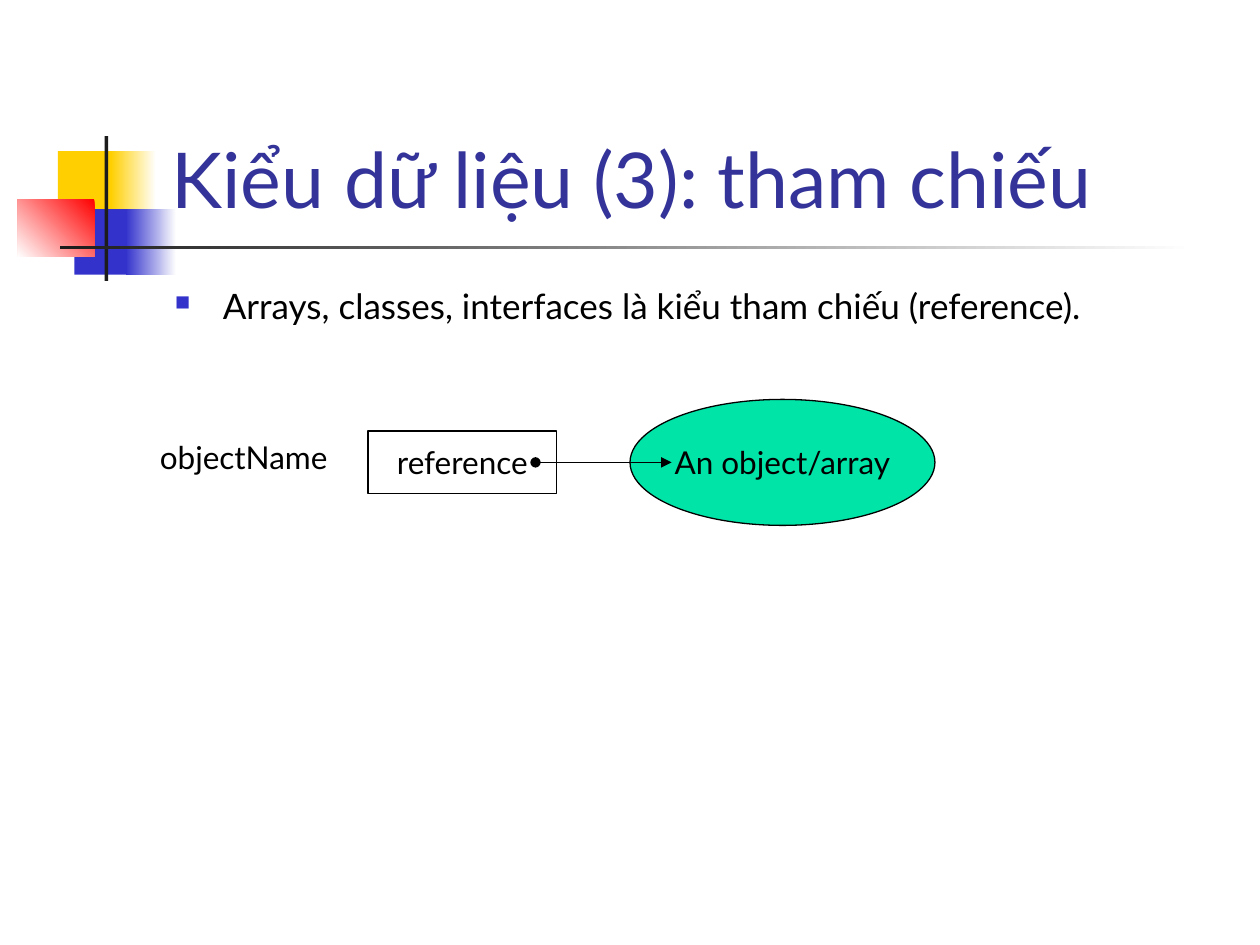
from lxml.etree import SubElement
from pptx import Presentation
from pptx.dml.color import RGBColor
from pptx.enum.shapes import MSO_CONNECTOR, MSO_SHAPE
from pptx.enum.text import MSO_ANCHOR, MSO_AUTO_SIZE, PP_ALIGN
from pptx.oxml.ns import qn
from pptx.util import Inches, Pt

FONT = "Lato"
COLORS = {
    "title": "333399", "black": "000000", "white": "FFFFFF", "yellow": "FFCF01",
    "blue": "3333CC", "red": "FF0000", "dark": "1C1C1C", "green": "00E4A8",
}


def rgb(name):
    return RGBColor.from_string(COLORS[name])


def add_run(p, text, size, color="black"):
    r = p.add_run()
    r.text = text
    r.font.name = FONT
    r.font.size = Pt(size)
    r.font.color.rgb = rgb(color)


def add_shape(slide, kind, box, fill=None, outlined=False):
    """Preset shape; fill is a colour name, or (start, end, clockwise angle)."""
    sp = slide.shapes.add_shape(kind, *map(Inches, box))
    sp.shadow.inherit = False
    if fill is None:
        sp.fill.background()
    elif isinstance(fill, tuple):
        start, end, angle = fill
        sp.fill.gradient()
        sp.fill.gradient_angle = 360 - angle
        for stop, color in zip(sp.fill.gradient_stops, (start, end)):
            stop.color.rgb = rgb(color)
    else:
        sp.fill.solid()
        sp.fill.fore_color.rgb = rgb(fill)
    if outlined:
        sp.line.color.rgb = rgb("black")
        sp.line.width = Pt(0.75)
    else:
        sp.line.fill.background()
    return sp


def add_node(slide, kind, box, text, fill=None):
    sp = add_shape(slide, kind, box, fill, outlined=True)
    tf = sp.text_frame
    tf.word_wrap = False
    tf.vertical_anchor = MSO_ANCHOR.MIDDLE
    p = tf.paragraphs[0]
    p.alignment = PP_ALIGN.CENTER
    add_run(p, text, 18)


def add_text(slide, box, text, size):
    tf = slide.shapes.add_textbox(*map(Inches, box)).text_frame
    tf.word_wrap = True
    p = tf.paragraphs[0]
    add_run(p, text, size)
    return p


def add_bullet(p):
    p.space_before = Pt(5)
    pPr = p._p.get_or_add_pPr()
    pPr.set("marL", str(Inches(0.38)))
    pPr.set("indent", str(-Inches(0.38)))
    color = SubElement(pPr, qn("a:buClr"))
    SubElement(color, qn("a:srgbClr"), val=COLORS["blue"])
    SubElement(pPr, qn("a:buSzPct"), val="60000")
    SubElement(pPr, qn("a:buChar"), char="■")


def add_pointer(slide, x1, x2, y):
    line = slide.shapes.add_connector(
        MSO_CONNECTOR.STRAIGHT, Inches(x1), Inches(y), Inches(x2), Inches(y))
    line.line.color.rgb = rgb("black")
    line.line.width = Pt(0.75)
    ln = line.line._get_or_add_ln()
    SubElement(ln, qn("a:headEnd"), type="oval")
    SubElement(ln, qn("a:tailEnd"), type="triangle")
    SubElement(line._element.spPr, qn("a:effectLst"))


def add_title(slide, text):
    title = slide.shapes.title
    title.left, title.top, title.width, title.height = map(
        Inches, (1.26, 0.23, 8.52, 1.6))
    tf = title.text_frame
    tf.auto_size = MSO_AUTO_SIZE.NONE
    tf.vertical_anchor = MSO_ANCHOR.BOTTOM
    p = tf.paragraphs[0]
    p.alignment = PP_ALIGN.LEFT
    add_run(p, text, 44, "title")


def add_decoration(slide):
    for box, fill in (
        ((0.46, 1.2, 0.48, 0.52), "yellow"),
        ((0.88, 1.2, 0.36, 0.52), ("white", "yellow", 180)),
        ((0.59, 1.66, 0.46, 0.52), "blue"),
        ((1, 1.66, 0.4, 0.52), ("white", "blue", 180)),
        ((0.14, 1.58, 0.61, 0.46), ("red", "white", 135)),
        ((0.83, 1.08, 0.03, 1.15), "dark"),
        ((0.48, 1.95, 9, 0.03), ("white", "dark", 180)),
    ):
        add_shape(slide, MSO_SHAPE.RECTANGLE, box, fill)


def main():
    prs = Presentation()
    prs.slide_width, prs.slide_height = Inches(10), Inches(7.5)
    slide = prs.slides.add_slide(prs.slide_layouts[5])

    # Heading with its coloured blocks and rules
    add_decoration(slide)
    add_title(slide, "Kiểu dữ liệu (3): tham chiếu")

    # Bullet text
    add_bullet(add_text(
        slide, (1.29, 2.21, 8.5, 4.5),
        "Arrays, classes, interfaces là kiểu tham chiếu (reference).", 20))

    # Reference diagram
    add_node(slide, MSO_SHAPE.RECTANGLE, (2.92, 3.42, 1.5, 0.5), "reference")
    add_node(slide, MSO_SHAPE.OVAL, (5, 3.17, 2.42, 1), "An object/array", "green")
    add_text(slide, (1.17, 3.43, 1.67, 0.4), "objectName", 18)
    add_pointer(slide, 4.25, 5.33, 3.67)

    prs.save("out.pptx")


if __name__ == "__main__":
    main()
